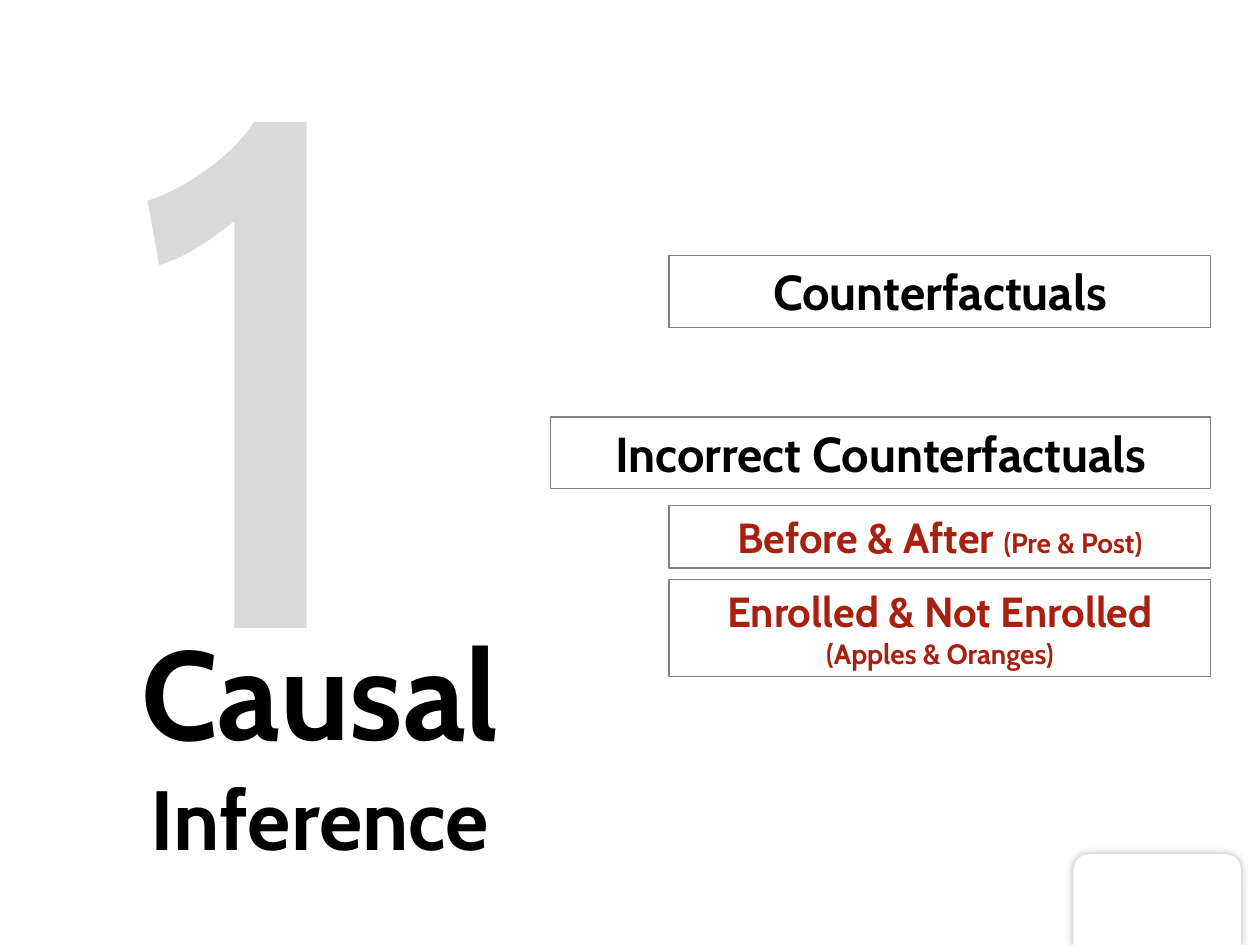
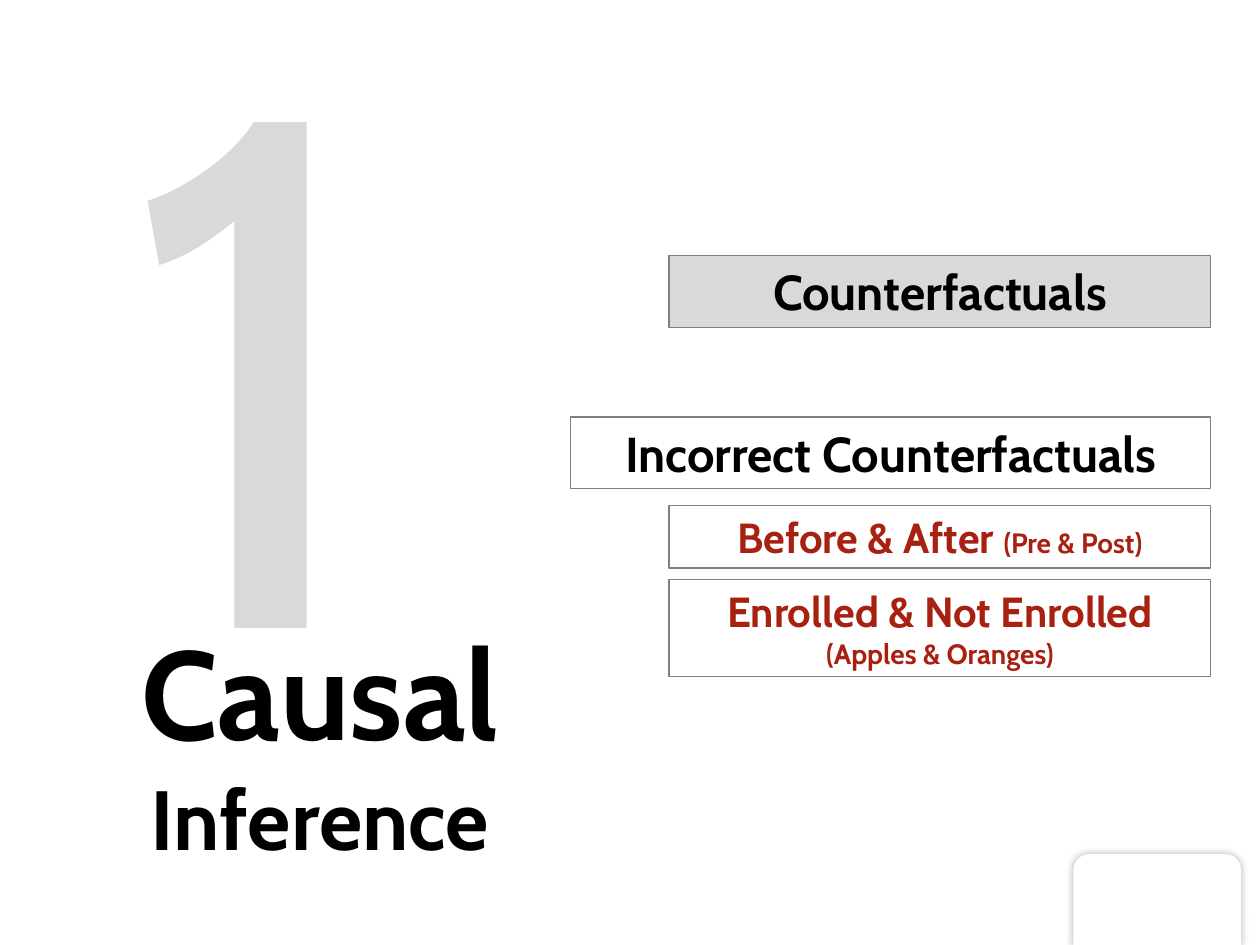
from lxml import etree
from pptx import Presentation
from pptx.dml.color import RGBColor
from pptx.enum import shapes, text
from pptx.oxml.ns import qn
from pptx.util import Inches, Pt

FONT = "Cabin"
BLACK, WHITE, RED = "000000", "FFFFFF", "A82010"
PALE, GREY = "D9D9D9", "808080"

CHAPTER = "1"
TITLE = [("Causal", 72), (" Inference", 48)]
RIGHT, TOPIC_WIDTH = 9.61, 4.3
# Topic: top, height, colour, runs of (text, size)
TOPICS = [
    (2.03, 0.57, BLACK, [("Counterfactuals", 28)]),
    (3.31, 0.57, BLACK, [("Incorrect Counterfactuals", 28)]),
    (4.01, 0.5, RED, [("Before & After ", 24), ("(Pre & Post)", 16)]),
    (4.6, 0.77, RED, [("Enrolled & Not Enrolled ", 24), ("(Apples & Oranges)", 16)]),
]
# Each slide: widths that differ from TOPIC_WIDTH, and the highlighted topics
SLIDES = [
    {"widths": {1: 5.24}, "highlighted": []},
    {"widths": {1: 5.08}, "highlighted": [0]},
]


def rgb(value):
    return RGBColor.from_string(value)


def place(sp, *box):
    sp.left, sp.top, sp.width, sp.height = map(Inches, box)


def write(sp, runs, color, bold=True, wrap=True, align=text.PP_ALIGN.CENTER):
    tf = sp.text_frame
    frame = {"word_wrap": wrap, "vertical_anchor": text.MSO_ANCHOR.TOP,
             "auto_size": text.MSO_AUTO_SIZE.SHAPE_TO_FIT_TEXT}
    for name, value in frame.items():
        setattr(tf, name, value)
    p = tf.paragraphs[0]
    p.alignment = align
    for words, size in runs:
        r = p.add_run()
        r.text = words
        for name, value in {"name": FONT, "size": Pt(size), "bold": bold}.items():
            setattr(r.font, name, value)
        r.font.color.rgb = rgb(color)


def add_box(s, kind, box, fill=None, line=None):
    sp = s.shapes.add_shape(kind, *map(Inches, box))
    sp.shadow.inherit = False
    if fill:
        sp.fill.solid()
        sp.fill.fore_color.rgb = rgb(fill)
    else:
        sp.fill.background()
    if line:
        sp.line.color.rgb = rgb(line)
        sp.line.width = Pt(0.75)
    else:
        sp.line.fill.background()
    return sp


def add_corner_tab(s):
    """White tab with a soft glow-like shadow at the bottom right."""
    sp = add_box(s, shapes.MSO_SHAPE.ROUND_2_SAME_RECTANGLE,
                 (8.52, 6.78, 1.33, 0.73), fill=WHITE)
    effects = sp._element.spPr.find(qn("a:effectLst"))
    shadow = etree.SubElement(effects, qn("a:outerShdw"), blurRad=str(Pt(5)),
                              dist="0", dir="0", algn="ctr", rotWithShape="0")
    color = etree.SubElement(shadow, qn("a:srgbClr"), val=BLACK)
    etree.SubElement(color, qn("a:alpha"), val="30000")


def add_chapter_slide(prs, widths, highlighted):
    s = prs.slides.add_slide(prs.slide_layouts[5])
    s.background.fill.solid()
    s.background.fill.fore_color.rgb = rgb(WHITE)
    add_corner_tab(s)

    number = s.shapes.add_textbox(*map(Inches, (0.88, -0.8, 3.32, 7.05)))
    write(number, [(CHAPTER, 413)], PALE, bold=False, wrap=False,
          align=text.PP_ALIGN.LEFT)
    write(s.shapes.title, TITLE, BLACK)
    place(s.shapes.title, 0.39, 4.83, 4.3, 2.12)

    for i, (top, height, color, runs) in enumerate(TOPICS):
        width = widths.get(i, TOPIC_WIDTH)
        sp = add_box(s, shapes.MSO_SHAPE.RECTANGLE, (RIGHT - width, top, width, height),
                     fill=PALE if i in highlighted else None, line=GREY)
        write(sp, runs, color)


def main():
    prs = Presentation()
    prs.slide_width, prs.slide_height = Inches(10), Inches(7.5)
    for slide in SLIDES:
        add_chapter_slide(prs, **slide)
    prs.save("out.pptx")


if __name__ == "__main__":
    main()
